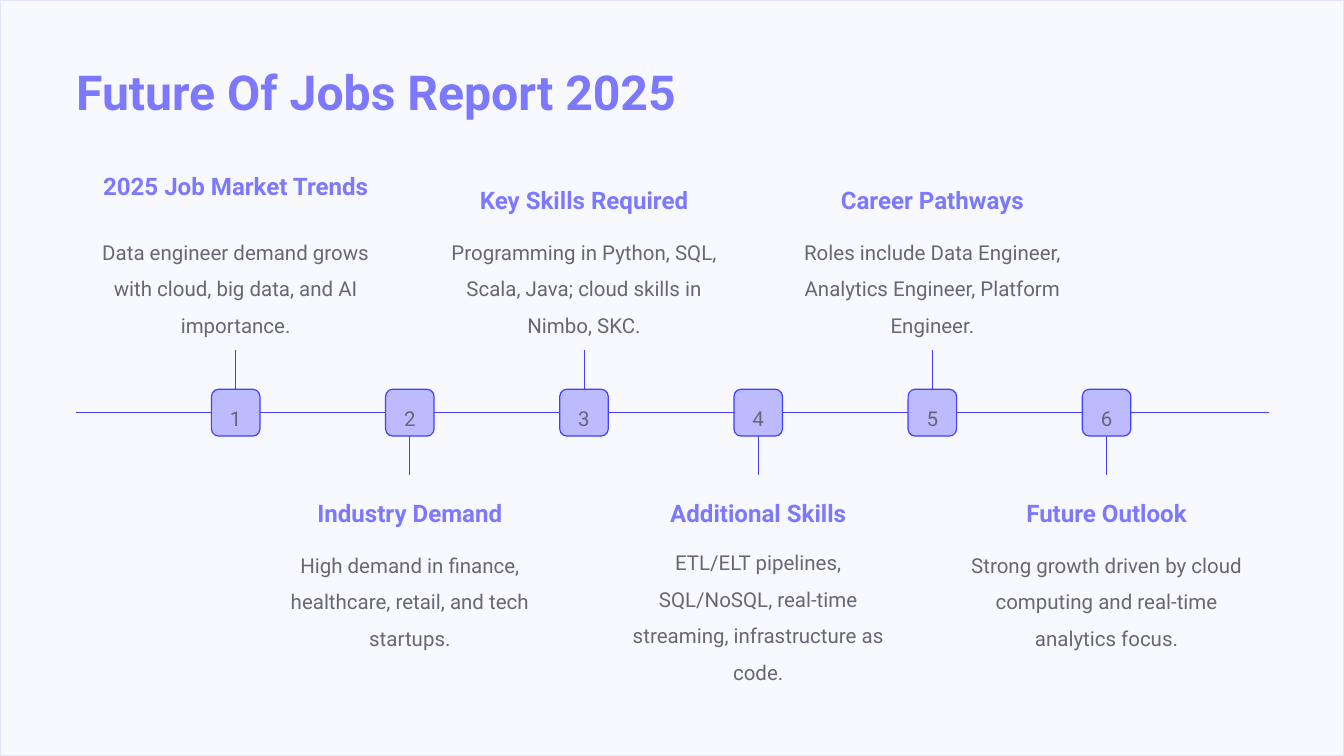
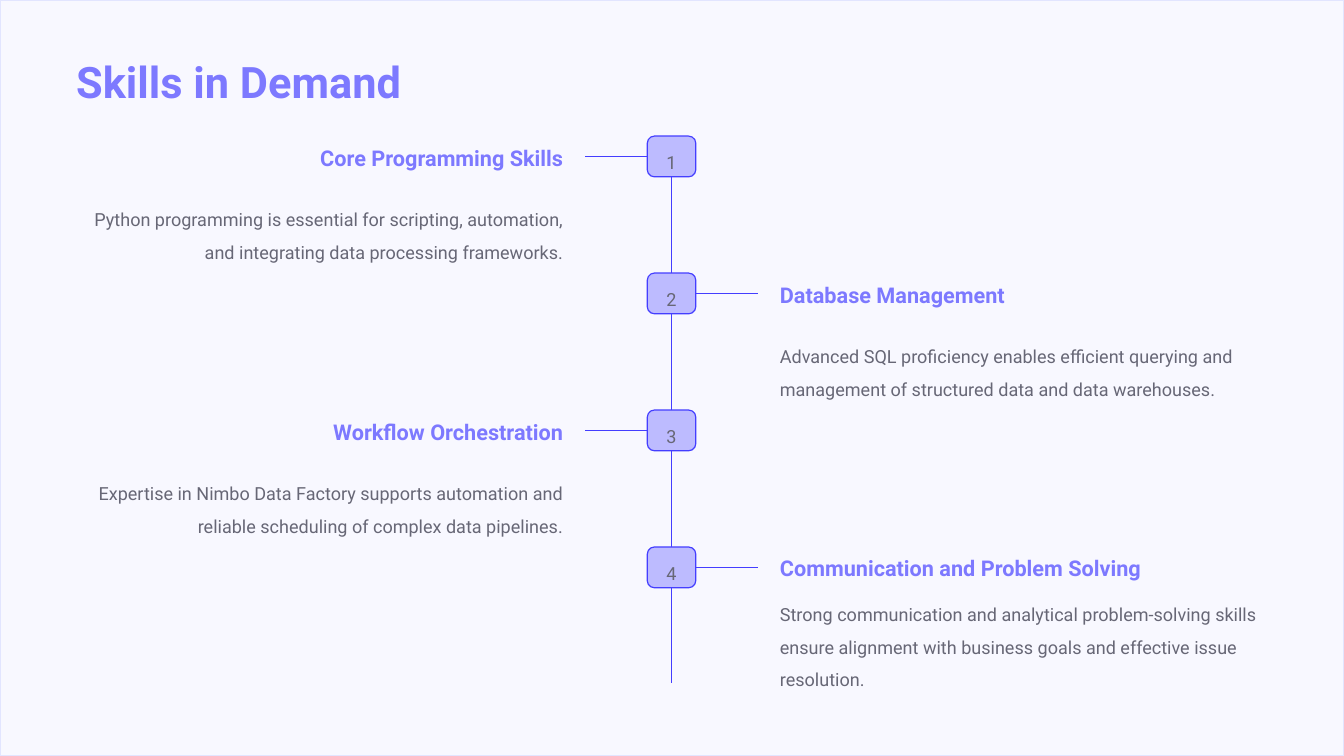
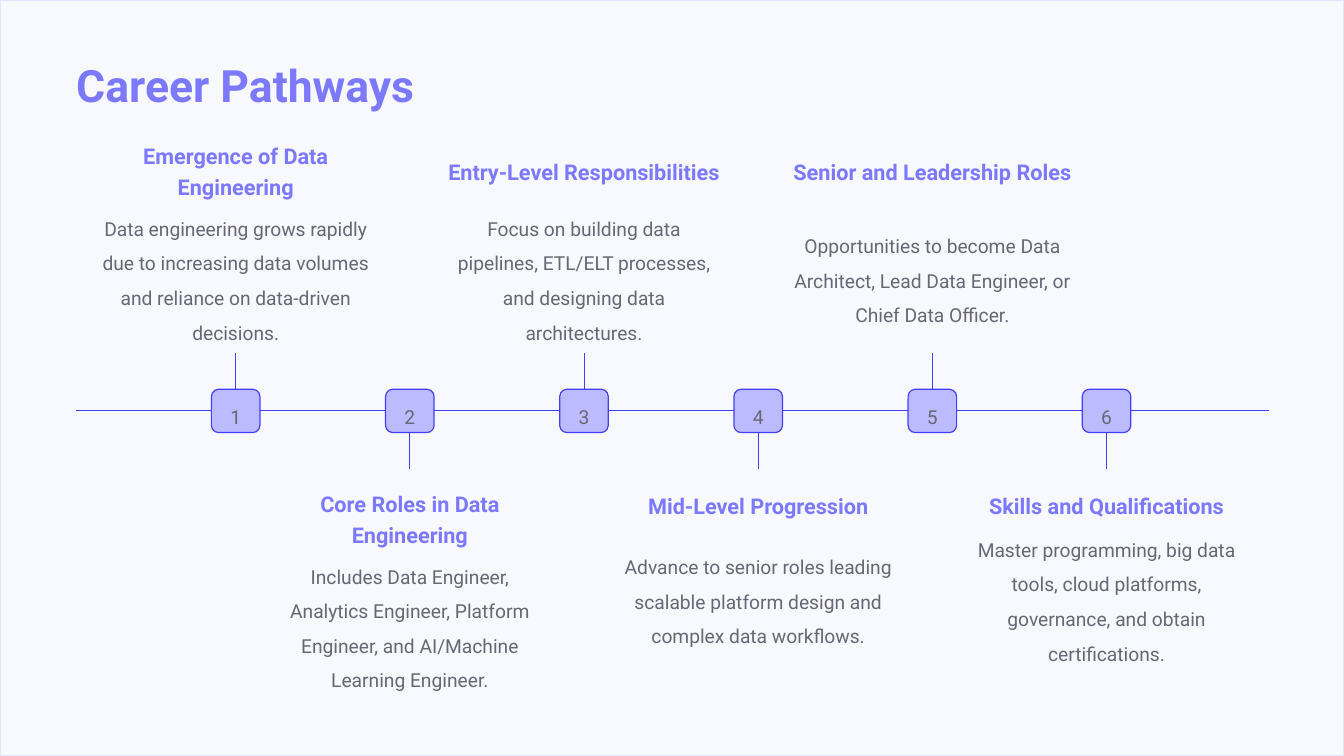
from collections import namedtuple

from lxml import etree
from pptx import Presentation
from pptx.dml.color import RGBColor
from pptx.enum.shapes import MSO_CONNECTOR, MSO_SHAPE
from pptx.enum.text import MSO_ANCHOR, PP_ALIGN
from pptx.oxml.ns import qn
from pptx.util import Inches, Pt

PAGE = RGBColor(0xF8, 0xF8, 0xFF)
PAGE_EDGE = RGBColor(0xE2, 0xE5, 0xFF)
HEADING = RGBColor(0x7D, 0x79, 0xFF)
BODY = RGBColor(0x67, 0x67, 0x76)
LINE = RGBColor(0x44, 0x3E, 0xFF)
BADGE = RGBColor(0xBD, 0xBB, 0xFF)

FONT = "Roboto"
SLIDE_W, SLIDE_H = 15.51, 8.72
MARGIN = 0.88
CONTENT_W = 13.76
BADGE_W = 0.56
CORNER = 0.083
TOP, LEFT, BOTTOM, RIGHT = range(4)

# heading_room and body_room are the lines of text a block keeps space for
Milestone = namedtuple("Milestone", "heading body heading_room body_room")
TimelineStyle = namedtuple(
    "TimelineStyle",
    "badge_h stem heading_size heading_line body_size body_line gap")

REPORT_STYLE = TimelineStyle(0.54, 0.72, 20, 0.33, 17, 0.36, 0.28)
REPORT = [
    Milestone("2025 Job Market Trends",
              "Data engineer demand grows with cloud, big data, and AI importance.", 2, 3),
    Milestone("Industry Demand",
              "High demand in finance, healthcare, retail, and tech startups.", 1, 3),
    Milestone("Key Skills Required",
              "Programming in Python, SQL, Scala, Java; cloud skills in Nimbo, SKC.", 1, 3),
    Milestone("Additional Skills",
              "ETL/ELT pipelines, SQL/NoSQL, real-time streaming, infrastructure as code.", 1, 4),
    Milestone("Career Pathways",
              "Roles include Data Engineer, Analytics Engineer, Platform Engineer.", 1, 3),
    Milestone("Future Outlook",
              "Strong growth driven by cloud computing and real-time analytics focus.", 1, 3),
]

SKILLS = [
    ("Core Programming Skills",
     "Python programming is essential for scripting, automation, "
     "and integrating data processing frameworks."),
    ("Database Management",
     "Advanced SQL proficiency enables efficient querying and management "
     "of structured data and data warehouses."),
    ("Workflow Orchestration",
     "Expertise in Nimbo Data Factory supports automation and reliable "
     "scheduling of complex data pipelines."),
    ("Communication and Problem Solving",
     "Strong communication and analytical problem-solving skills ensure "
     "alignment with business goals and effective issue resolution."),
]

CAREER_STYLE = TimelineStyle(0.5, 0.67, 18, 0.31, 16, 0.33, 0.25)
CAREER = [
    Milestone("Emergence of Data Engineering",
              "Data engineering grows rapidly due to increasing data volumes "
              "and reliance on data-driven decisions.", 2, 4),
    Milestone("Core Roles in Data Engineering",
              "Includes Data Engineer, Analytics Engineer, Platform Engineer, "
              "and AI/Machine Learning Engineer.", 2, 4),
    Milestone("Entry-Level Responsibilities",
              "Focus on building data pipelines, ETL/ELT processes, "
              "and designing data architectures.", 2, 4),
    Milestone("Mid-Level Progression",
              "Advance to senior roles leading scalable platform design "
              "and complex data workflows.", 1, 4),
    Milestone("Senior and Leadership Roles",
              "Opportunities to become Data Architect, Lead Data Engineer, "
              "or Chief Data Officer.", 2, 4),
    Milestone("Skills and Qualifications",
              "Master programming, big data tools, cloud platforms, governance, "
              "and obtain certifications.", 1, 4),
]


def box(left, top, width, height):
    return [Inches(length) for length in (left, top, width, height)]


def write(shape, text, size, color, bold, spacing, align):
    frame = shape.text_frame
    frame.word_wrap = True
    frame.vertical_anchor = MSO_ANCHOR.MIDDLE
    frame.margin_left = frame.margin_right = frame.margin_top = frame.margin_bottom = 0
    paragraph = frame.paragraphs[0]
    paragraph.text = text
    paragraph.alignment = align
    paragraph.line_spacing = spacing
    font = paragraph.font
    font.name, font.size, font.bold = FONT, Pt(size), bold
    font.color.rgb = color


def add_heading(slide, area, text, size, align=PP_ALIGN.LEFT):
    write(slide.shapes.add_textbox(*box(*area)), text, size, HEADING, True, 1.2, align)


def add_body(slide, area, text, size, align):
    write(slide.shapes.add_textbox(*box(*area)), text, size, BODY, False, 1.5, align)


def add_panel(slide, preset, area, fill, edge):
    panel = slide.shapes.add_shape(preset, *box(*area))
    panel.shadow.inherit = False
    panel.fill.solid()
    panel.fill.fore_color.rgb = fill
    panel.line.color.rgb = edge
    panel.line.width = Pt(1)
    return panel


def add_badge(slide, left, top, height, number, size):
    badge = add_panel(slide, MSO_SHAPE.ROUNDED_RECTANGLE,
                      (left, top, BADGE_W, height), BADGE, LINE)
    badge.adjustments[0] = CORNER / height
    write(badge, str(number), size, BODY, False, 1.5, PP_ALIGN.CENTER)
    return badge


def add_line(slide, x1, y1, x2, y2, badge=None, side=None):
    """Draw a line; when a badge is given, the line starts at that side of it."""
    line = slide.shapes.add_connector(MSO_CONNECTOR.STRAIGHT, *box(x1, y1, x2, y2))
    line.line.color.rgb = LINE
    line.line.width = Pt(0.75)
    etree.SubElement(line._element.spPr, qn("a:effectLst"))
    if badge is not None:
        line.begin_connect(badge, side)


def add_page(deck, title, size, top, height):
    slide = deck.slides.add_slide(deck.slide_layouts[6])
    add_panel(slide, MSO_SHAPE.RECTANGLE, (0, 0, SLIDE_W, SLIDE_H), PAGE, PAGE_EDGE)
    add_heading(slide, (MARGIN, top, CONTENT_W, height), title, size)
    return slide


def add_timeline(slide, milestones, style):
    """Horizontal axis with text alternately above and below it."""
    badge_top, first_center, pitch = 4.49, 2.72, 2.01
    text_w, stem_gap = 3.21, 0.24
    axis = badge_top + style.badge_h / 2
    add_line(slide, MARGIN, axis, MARGIN + CONTENT_W, axis)
    for index, item in enumerate(milestones):
        center = first_center + index * pitch
        badge = add_badge(slide, center - BADGE_W / 2, badge_top, style.badge_h,
                          index + 1, style.body_size)
        heading_h = item.heading_room * style.heading_line
        body_h = item.body_room * style.body_line
        if index % 2 == 0:
            side, stem_end = TOP, axis - style.stem
            body_top = stem_end - stem_gap - body_h
            heading_top = body_top - style.gap - heading_h
        else:
            side, stem_end = BOTTOM, axis + style.stem
            heading_top = stem_end + stem_gap
            body_top = heading_top + heading_h + style.gap
        add_line(slide, center, axis, center, stem_end, badge, side)
        left = center - text_w / 2
        add_heading(slide, (left, heading_top, text_w, heading_h),
                    item.heading, style.heading_size, PP_ALIGN.CENTER)
        add_body(slide, (left, body_top, text_w, body_h),
                 item.body, style.body_size, PP_ALIGN.CENTER)


def add_skill_ladder(slide, skills):
    """Vertical spine with text alternately left and right of it."""
    center, first_top, pitch, badge_h = 7.75, 1.57, 1.58, 0.47
    arm_reach, text_w = 1.0, 5.62
    add_line(slide, center, first_top, center, 7.88)
    for index, (heading, body) in enumerate(skills):
        top = first_top + index * pitch
        badge = add_badge(slide, center - BADGE_W / 2, top, badge_h, index + 1, 15)
        if index % 2 == 0:
            side, arm_end, left, align = LEFT, center - arm_reach, MARGIN, PP_ALIGN.RIGHT
        else:
            side, arm_end, left, align = RIGHT, center + arm_reach, 9, PP_ALIGN.LEFT
        middle = top + badge_h / 2
        add_line(slide, center, middle, arm_end, middle, badge, side)
        add_heading(slide, (left, top + 0.07, text_w, 0.29), heading, 18, align)
        add_body(slide, (left, top + 0.61, text_w, 0.96), body, 15, align)


def main():
    deck = Presentation()
    deck.slide_width, deck.slide_height = Inches(SLIDE_W), Inches(SLIDE_H)
    add_timeline(add_page(deck, "Future Of Jobs Report 2025", 40, 0.65, 0.68),
                 REPORT, REPORT_STYLE)
    add_skill_ladder(add_page(deck, "Skills in Demand", 36, 0.58, 0.6), SKILLS)
    add_timeline(add_page(deck, "Career Pathways", 37, 0.61, 0.62),
                 CAREER, CAREER_STYLE)
    deck.save("out.pptx")


if __name__ == "__main__":
    main()
